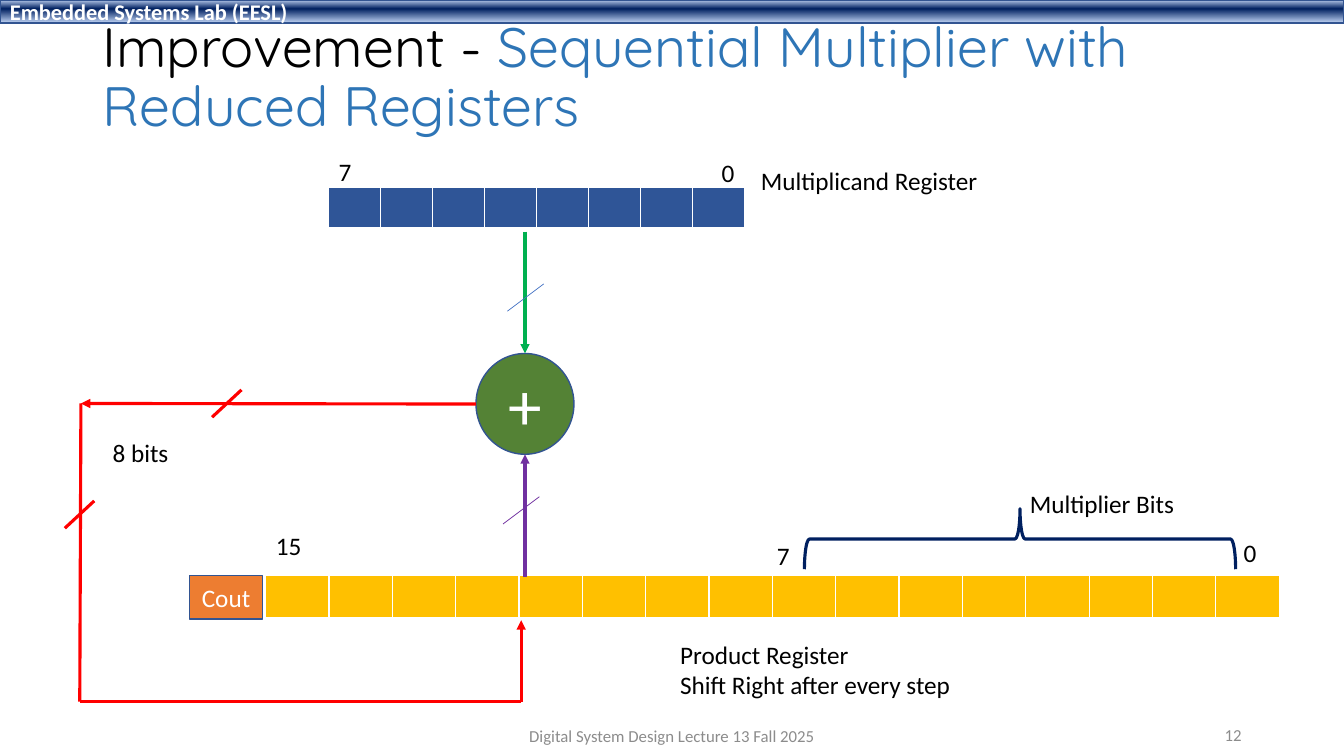
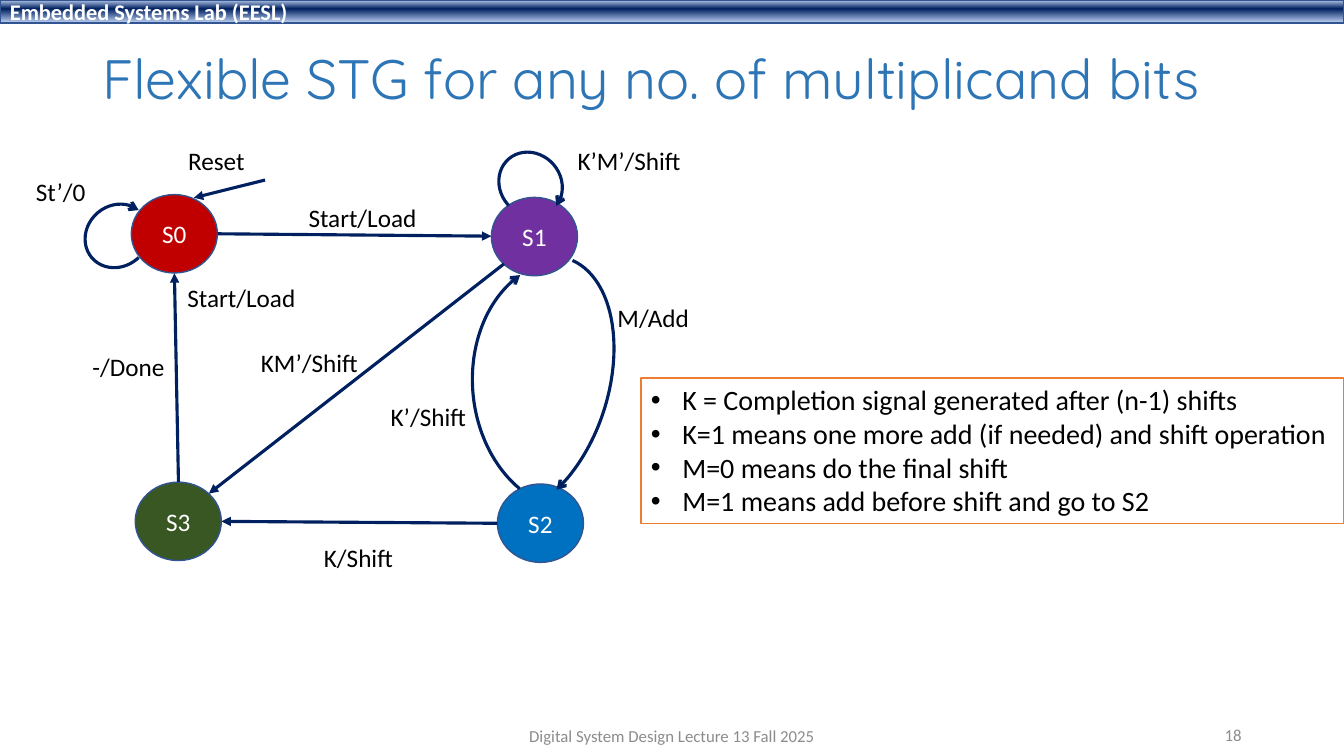
from dataclasses import dataclass

from lxml import etree
from pptx import Presentation
from pptx.dml.color import RGBColor
from pptx.enum import shapes, text
from pptx.oxml import ns
from pptx.util import Pt


@dataclass(frozen=True)
class Theme:
    body: str = "Calibri"
    heading: str = "Quicksand"
    black: str = "000000"
    white: str = "FFFFFF"
    blue: str = "2E75B6"
    navy: str = "002060"
    outline: str = "325491"
    band_top: str = "ABC0E4"
    band_bottom: str = "ACC1E5"
    slash: str = "4472C4"
    register: str = "2F5597"
    gold: str = "FFC000"
    orange: str = "ED7D31"
    red: str = "FF0000"
    green: str = "00B050"
    adder: str = "548235"
    purple: str = "7030A0"
    crimson: str = "C00000"
    azure: str = "0070C0"
    forest: str = "385723"
    grey: str = "8C8C8C"
    title_size: float = 39.6
    plus_size: float = 48
    list_size: float = 20
    text_size: float = 18
    band_size: float = 16
    footer_size: float = 12
    thick: float = 2.25
    thin: float = 0.5


T = Theme()
A, P = text.MSO_ANCHOR, text.PP_ALIGN
G = shapes.MSO_SHAPE
W, H = 960, 540
BAND = "Embedded Systems Lab (EESL)"
FOOTER = "Digital System Design Lecture 13 Fall 2025"
BAND_STOPS = [(0, T.band_top), (2, T.band_top), (38, T.navy),
              (93, T.band_bottom), (100, T.band_bottom)]

MULTIPLIER = {
    "number": "12",
    "title": [("Improvement - ", T.black),
              ("Sequential Multiplier with Reduced Registers", T.blue)],
    "title_box": (66, 10.8, 828, 91.4),
    "registers": [((234.8, 134, 297.4, 29.5), 8, T.register),
                  ((189.8, 411.2, 724.2, 31), 16, T.gold)],
    "shapes": [(G.OVAL, (340, 252.5, 70, 72), T.adder, "+", T.plus_size),
               (G.RECTANGLE, (135.5, 411.2, 52, 31), T.orange, "Cout", T.text_size)],
    "lines": [((372.3, 501.2), (372.3, 443), T.red, T.thick, True),
              ((372.3, 501.2), (57.3, 501.2), T.red, T.thick, False),
              ((57.8, 288.2), (57, 501.2), T.red, T.thick, False),
              ((340, 288.6), (57.8, 288.2), T.red, T.thick, True),
              ((375, 165.5), (375, 252.5), T.green, T.thick, True),
              ((375, 411.8), (375, 324.5), T.purple, T.thick, True)],
    "slashes": [((46.3, 377.3), 21, T.red, T.thick),
                ((151.5, 298), 21, T.red, T.thick),
                ((362.4, 222.3), 26, T.slash, T.thin),
                ((359.3, 374.3), 26, T.purple, T.thin)],
    "labels": [((234.7, 108, 24), ["7"]), ((508.3, 108.7, 24), ["0"]),
               ((881.3, 380.2, 24), ["0"]), ((547.9, 382.3, 24), ["7"]),
               ((190, 375.5, 33), ["15"]), ((73.4, 309, 55), ["8 bits"]),
               ((536.4, 114.5, 171), ["Multiplicand Register"]),
               ((728.6, 345, 119), ["Multiplier Bits"]),
               ((478.8, 453, 210), ["Product Register", "Shift Right after every step"])],
    "arcs": [],
    "brace": (707, 231, 43.2, 308),
}

STATES = {
    "number": "18",
    "title": [("Flexible STG for any no. of multiplicand bits", T.blue)],
    "title_box": (66, 8.6, 828, 98.6),
    "registers": [],
    "shapes": [(G.OVAL, (x, y, 61.5, 56), color, name, T.text_size)
               for name, x, y, color in [("S0", 93.8, 139, T.crimson),
                                         ("S1", 351, 141, T.purple),
                                         ("S2", 355.3, 345.7, T.azure),
                                         ("S3", 96.6, 344.4, T.forest)]],
    "lines": [(start, end, T.navy, T.thick, True) for start, end in [
        ((189.3, 128.6), (138.5, 141.3)),
        ((155.4, 167), (351, 168.7)),
        ((360, 188.5), (149.2, 352.6)),
        ((355.3, 373.8), (158.2, 372.4)),
        ((127.5, 344.4), (124.6, 195.2))]],
    "slashes": [],
    "labels": [((127.3, 100.2, 55), ["Reset"]), ((126.8, 198, 92), ["Start/Load"]),
               ((213.3, 141, 92), ["Start/Load"]), ((59, 247.5, 67), ["-/Done"]),
               ((18.5, 122.3, 50), ["St’/0"]), ((434, 212.5, 66), ["M/Add"]),
               ((272, 283, 69), ["K’/Shift"]), ((224.3, 384, 65), ["K/Shift"]),
               ((179.3, 244.3, 85), ["KM’/Shift"]), ((405.5, 100.2, 89), ["K’M’/Shift"])],
    "arcs": [((355, 110, 48, 43.4), 229.8, (159.7, 102.03)),
             ((59.8, 146.8, 48, 43.4), 139.4, (159.7, 102.03)),
             ((318.2, 205.2, 178.6, 139.7), 264.6, (126.91, 204.48)),
             ((280, 217.4, 191.5, 116.6), 107.9, (109.44, 195.4))],
    "notes": ((457.8, 270, 502, 104),
              ["K = Completion signal generated after (n-1) shifts",
               "K=1 means one more add (if needed) and shift operation",
               "M=0 means do the final shift",
               "M=1 means add before shift and go to S2"]),
}


def rgb(color):
    return RGBColor.from_string(color)


def pts(values):
    return [Pt(v) for v in values]


def write(tf, paragraphs, size=T.text_size, color=T.black, font=T.body, bold=False,
          align=P.LEFT, anchor=A.TOP, wrap=True, spacing=None, bullet=False):
    tf.word_wrap = wrap
    tf.auto_size = text.MSO_AUTO_SIZE.NONE if wrap else text.MSO_AUTO_SIZE.SHAPE_TO_FIT_TEXT
    tf.vertical_anchor = anchor
    for i, runs in enumerate(paragraphs):
        p = tf.add_paragraph() if i else tf.paragraphs[0]
        p.alignment = align
        if spacing:
            p.line_spacing = spacing
        if bullet:
            pPr = p._p.get_or_add_pPr()
            pPr.set("marL", str(Pt(22.5)))
            pPr.set("indent", str(-Pt(22.5)))
            etree.SubElement(pPr, ns.qn("a:buFont")).set("typeface", "Arial")
            etree.SubElement(pPr, ns.qn("a:buChar")).set("char", "•")
        for content, shade in [(runs, color)] if isinstance(runs, str) else runs:
            r = p.add_run()
            r.text = content
            r.font.size, r.font.name, r.font.bold = Pt(size), font, bold
            r.font.color.rgb = rgb(shade)


def add_box(s, box, paragraphs, **fmt):
    sp = s.shapes.add_textbox(*pts(box))
    write(sp.text_frame, paragraphs, **fmt)
    return sp


def add_shape(s, kind, box, fill=None, line=T.outline, width=1):
    sp = s.shapes.add_shape(kind, *pts(box))
    sp.shadow.inherit = False
    if fill:
        sp.fill.solid()
        sp.fill.fore_color.rgb = rgb(fill)
    else:
        sp.fill.background()
    sp.line.color.rgb = rgb(line)
    sp.line.width = Pt(width)
    return sp


def add_arrowhead(sp, kind):
    etree.SubElement(sp.line._get_or_add_ln(), ns.qn("a:tailEnd")).set("type", kind)


def add_line(s, start, end, color, width, arrow=False):
    sp = s.shapes.add_connector(shapes.MSO_CONNECTOR.STRAIGHT, *pts(start + end))
    sp.line.color.rgb = rgb(color)
    sp.line.width = Pt(width)
    if arrow:
        add_arrowhead(sp, "triangle")
    etree.SubElement(sp.element.spPr, ns.qn("a:effectLst"))


def add_register(s, box, bits, color):
    table = s.shapes.add_table(1, bits, *pts(box)).table
    table.first_row = table.horz_banding = False
    for column in table.columns:
        column.width = Pt(box[2] / bits)
    for cell in table.iter_cells():
        cell.margin_top = cell.margin_bottom = 0
        tcPr = cell._tc.get_or_add_tcPr()
        for side, width in [("L", 1), ("R", 1), ("T", 1), ("B", 3)]:
            ln = etree.SubElement(tcPr, ns.qn("a:ln" + side), w=str(Pt(width)))
            fill = etree.SubElement(ln, ns.qn("a:solidFill"))
            etree.SubElement(fill, ns.qn("a:srgbClr"), val=T.white)
        cell.fill.solid()
        cell.fill.fore_color.rgb = rgb(color)


def add_band(prs, s):
    sp = add_shape(s, G.RECTANGLE, (0, 0, W, 16.6))
    write(sp.text_frame, [BAND], size=T.band_size, color=T.white, bold=True, anchor=A.MIDDLE)
    sp.fill.gradient()
    sp.fill.gradient_angle = 270
    stops = sp.element.spPr.find(".//" + ns.qn("a:gsLst"))
    for stop in list(stops):
        stops.remove(stop)
    for position, color in BAND_STOPS:
        stop = etree.SubElement(stops, ns.qn("a:gs"), pos=str(position * 1000))
        etree.SubElement(stop, ns.qn("a:srgbClr"), val=color)
    sp.element.nvSpPr.cNvPr.set("id", "100")
    prs.slide_master.shapes.element.append(sp.element)


def add_slide(prs, content):
    s = prs.slides.add_slide(prs.slide_layouts[5])
    title = s.shapes.title
    title.left, title.top, title.width, title.height = pts(content["title_box"])
    write(title.text_frame, [content["title"]], size=T.title_size, font=T.heading,
          anchor=A.MIDDLE, spacing=0.9)
    for register in content["registers"]:
        add_register(s, *register)
    for kind, box, fill, name, size in content["shapes"]:
        sp = add_shape(s, kind, box, fill)
        write(sp.text_frame, [name], size=size, color=T.white, align=P.CENTER, anchor=A.MIDDLE)
    for line in content["lines"]:
        add_line(s, *line)
    for (x, y), run, color, width in content["slashes"]:
        add_line(s, (x, y), (x + run, y - 19.5), color, width)
    for box, angle, ends in content["arcs"]:
        sp = add_shape(s, G.ARC, box, line=T.navy, width=T.thick)
        sp.rotation = angle
        sp.adjustments[0], sp.adjustments[1] = ends
        add_arrowhead(sp, "arrow")
    for (x, y, w), lines in content["labels"]:
        add_box(s, (x, y, w, 7.2 + 21.8 * len(lines)), lines, wrap=False)
    if "brace" in content:
        sp = add_shape(s, G.RIGHT_BRACE, content["brace"], line=T.navy, width=T.thick)
        sp.rotation = 270
    if "notes" in content:
        box, lines = content["notes"]
        sp = add_shape(s, G.RECTANGLE, box, T.white, T.orange)
        write(sp.text_frame, lines, size=T.list_size, wrap=False, bullet=True)
    small = {"size": T.footer_size, "color": T.grey, "anchor": A.MIDDLE}
    add_box(s, (318, 511.2, 324, 28.8), [FOOTER], align=P.CENTER, **small)
    add_box(s, (678, 510.5, 216, 28.8), [content["number"]], align=P.RIGHT, **small)
    return s


def main():
    prs = Presentation()
    prs.slide_width, prs.slide_height = Pt(W), Pt(H)
    built = [add_slide(prs, content) for content in (MULTIPLIER, STATES)]
    add_band(prs, built[0])
    prs.save("out.pptx")


if __name__ == "__main__":
    main()
